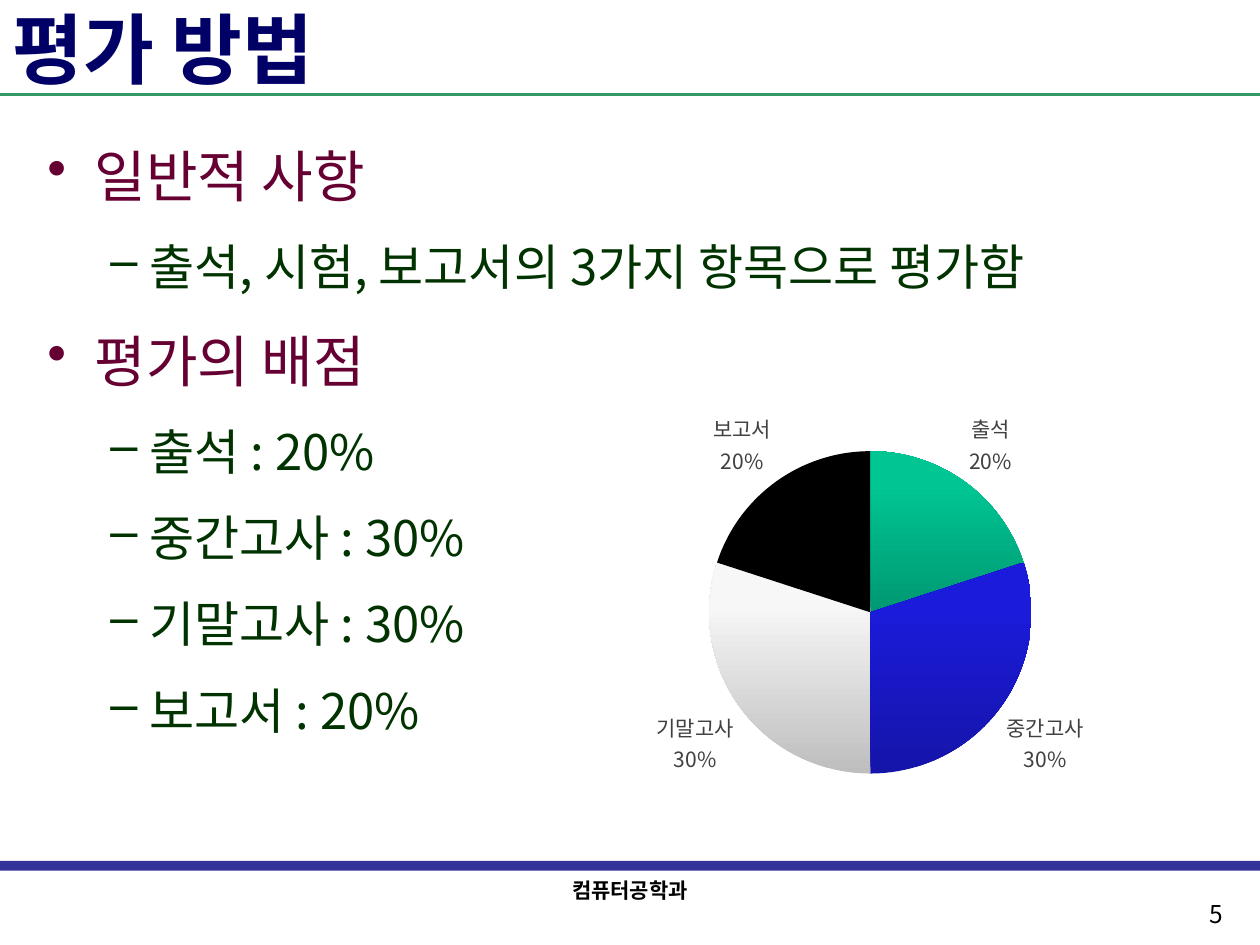
"""Build the grading slide with its outline and pie chart."""
import pptx
import pptx.chart.data
import pptx.dml.color
import pptx.enum.chart
import pptx.enum.shapes
import pptx.enum.text
import pptx.oxml
import pptx.oxml.ns
import pptx.util
from lxml import etree

Pt = pptx.util.Pt
RGB = pptx.dml.color.RGBColor
ALIGN = pptx.enum.text.PP_ALIGN
ANCHOR = pptx.enum.text.MSO_ANCHOR
FONT = "Noto Sans CJK KR"
NAVY = RGB(0x00, 0x00, 0x66)
INDIGO = RGB(0x33, 0x33, 0x99)
GREEN = RGB(0x33, 0x99, 0x66)
WINE = RGB(0x66, 0x00, 0x33)
FOREST = RGB(0x00, 0x33, 0x00)
BLACK = RGB(0x00, 0x00, 0x00)
GRAY = RGB(0x40, 0x40, 0x40)
SLICES = [
    (RGB(0x00, 0x98, 0x72), RGB(0x00, 0xC6, 0x94)),
    (RGB(0x15, 0x15, 0xA9), RGB(0x1B, 0x1B, 0xDC)),
    (RGB(0xBE, 0xBE, 0xBE), RGB(0xF7, 0xF7, 0xF7)),
    (BLACK, BLACK),
]
SCORES = {"출석": 20, "중간고사": 30, "기말고사": 30, "보고서": 20}
OUTLINE = [
    (0, "일반적 사항"),
    (1, "출석, 시험, 보고서의 3가지 항목으로 평가함"),
    (0, "평가의 배점"),
] + [(1, f"{name} : {score}%") for name, score in SCORES.items()]
LEVELS = [(32, WINE, "•", 27, -27), (28, FOREST, "–", 58.5, -22.5)]


class Deck:
    """Hold the style and the current slide."""

    def __init__(self):
        self.prs = pptx.Presentation()
        self.prs.slide_width, self.prs.slide_height = Pt(720), Pt(540)
        self.slide = self.prs.slides.add_slide(self.prs.slide_layouts[5])
        self.shapes = self.slide.shapes

    def style(self, font, size, color, bold=False):
        font.name, font.size, font.bold = FONT, Pt(size), bold
        font.color.rgb = color

    def format(self, para, size, color, bold=False):
        self.style(para.font, size, color, bold)
        latin = para._p.pPr.find(".//" + pptx.oxml.ns.qn("a:latin"))
        east = etree.Element(pptx.oxml.ns.qn("a:ea"), typeface=FONT)
        latin.addnext(east)

    def title(self, text, box, size, color):
        shape = self.shapes.title
        shape.left, shape.top, shape.width, shape.height = map(Pt, box)
        frame = shape.text_frame
        frame.text = text
        frame.auto_size = pptx.enum.text.MSO_AUTO_SIZE.NONE
        frame.vertical_anchor = ANCHOR.MIDDLE
        para = frame.paragraphs[0]
        para.alignment = ALIGN.LEFT
        self.format(para, size, color, True)

    def bar(self, box, color):
        kind = pptx.enum.shapes.MSO_SHAPE.RECTANGLE
        shape = self.shapes.add_shape(kind, *map(Pt, box))
        shape.shadow.inherit = False
        shape.fill.solid()
        shape.fill.fore_color.rgb = color
        shape.line.fill.background()

    def line(self, ends, color, width):
        kind = pptx.enum.shapes.MSO_CONNECTOR.STRAIGHT
        line = self.shapes.add_connector(kind, *map(Pt, ends))
        line.line.color.rgb, line.line.width = color, Pt(width)
        etree.SubElement(line._element.spPr, pptx.oxml.ns.qn("a:effectLst"))

    def label(self, text, box, size, align, bold=False):
        frame = self.shapes.add_textbox(*map(Pt, box)).text_frame
        frame.word_wrap = False
        para = frame.paragraphs[0]
        para.text, para.alignment = text, align
        self.format(para, size, BLACK, bold)

    def outline(self, items, box):
        frame = self.shapes.add_textbox(*map(Pt, box)).text_frame
        frame.word_wrap = True
        for i, (level, text) in enumerate(items):
            para = frame.add_paragraph() if i else frame.paragraphs[0]
            size, color, mark, left, hang = LEVELS[level]
            para.text, para.level = text, level
            para.alignment = ALIGN.JUSTIFY
            para.line_spacing, para.space_before = 1.3, Pt(size * 0.2)
            self.format(para, size, color)
            props = para._p.pPr
            props.set("marL", str(Pt(left)))
            props.set("indent", str(Pt(hang)))
            bullet = etree.Element(pptx.oxml.ns.qn("a:buChar"), char=mark)
            props.find(pptx.oxml.ns.qn("a:defRPr")).addprevious(bullet)

    def pie(self, scores, box, plot):
        data = pptx.chart.data.CategoryChartData()
        data.categories = list(scores)
        data.add_series("Series 1", list(scores.values()))
        kind = pptx.enum.chart.XL_CHART_TYPE.PIE
        chart = self.shapes.add_chart(kind, *map(Pt, box), data).chart
        chart.has_legend = chart.has_title = False
        self.style(chart.font, 10, BLACK)
        pie = chart.plots[0]
        pie.vary_by_categories = False
        for i, (dark, light) in enumerate(SLICES):
            fill = pie.series[0].points[i].format.fill
            if dark == light:
                fill.solid()
                fill.fore_color.rgb = dark
                continue
            fill.gradient()
            fill.gradient_angle = 90
            for stop, color, pos in zip(fill.gradient_stops, (dark, light), (0, 0.8)):
                stop.color.rgb, stop.position = color, pos
        pie.has_data_labels = True
        labels = pie.data_labels
        labels.show_percentage = labels.show_category_name = True
        labels.show_value = False
        labels.number_format, labels.number_format_is_linked = "0%", False
        labels.position = pptx.enum.chart.XL_LABEL_POSITION.OUTSIDE_END
        self.style(labels.font, 12, GRAY)
        area = chart._chartSpace.chart.plotArea
        for old in area.findall(pptx.oxml.ns.qn("c:layout")):
            area.remove(old)
        layout = etree.Element(pptx.oxml.ns.qn("c:layout"))
        manual = etree.SubElement(layout, pptx.oxml.ns.qn("c:manualLayout"))
        rules = [("layoutTarget", "inner"), ("xMode", "edge"), ("yMode", "edge")]
        for name, val in rules + list(zip("xywh", plot)):
            etree.SubElement(manual, pptx.oxml.ns.qn("c:" + name), val=str(val))
        area.insert(0, layout)


def main():
    deck = Deck()
    deck.bar((0, 492, 720, 5.5), INDIGO)
    deck.line((0, 54, 720, 54), GREEN, 2)
    deck.label("컴퓨터공학과", (316.5, 498, 87, 22), 12, ALIGN.CENTER, True)
    deck.label("5", (684, 510, 35, 24), 14, ALIGN.LEFT)
    deck.title("평가 방법", (0, 0, 720, 54), 44, NAVY)
    deck.outline(OUTLINE, (20, 66, 646, 402))
    deck.pie(SCORES, (314.5, 218, 362, 249), (0.25, 0.16, 0.51, 0.74))
    deck.prs.save("out.pptx")


if __name__ == "__main__":
    main()
